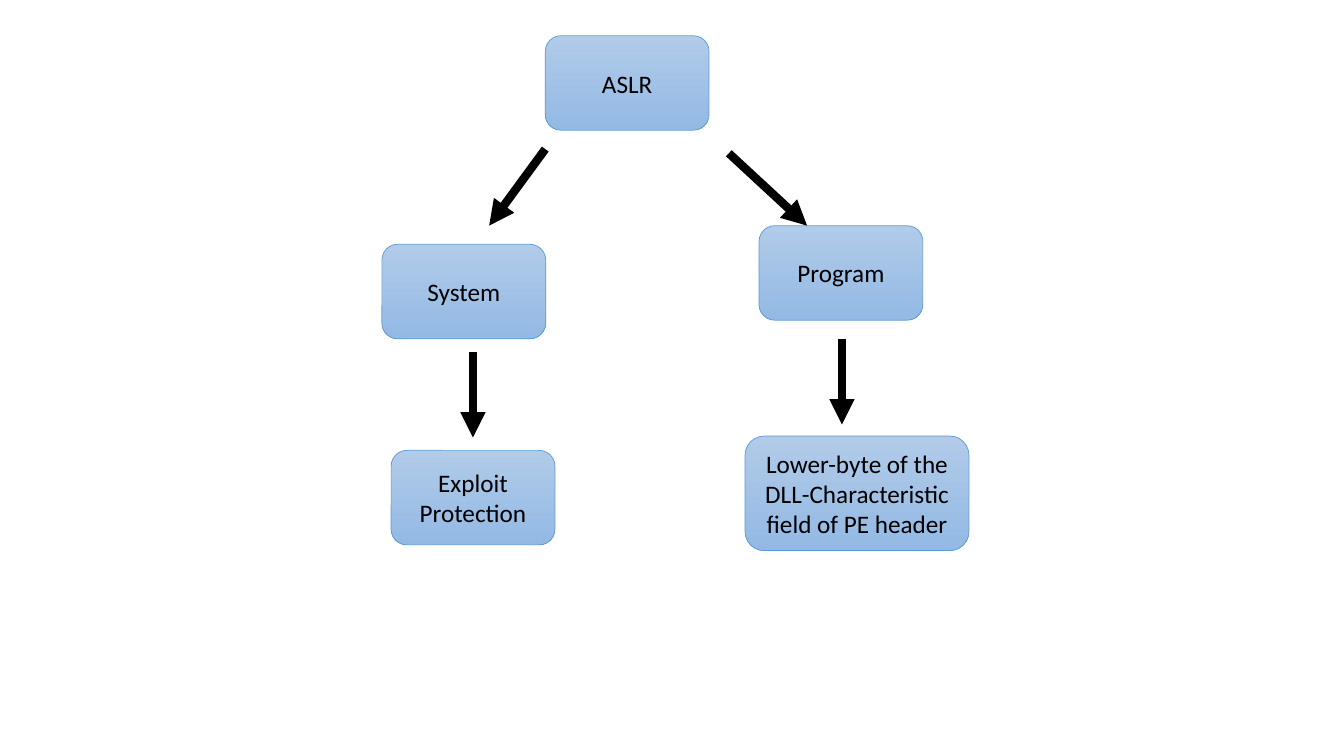
from dataclasses import dataclass

from lxml import etree
from pptx import Presentation
from pptx import util as u
from pptx.dml.color import RGBColor
from pptx.enum import shapes, text
from pptx.oxml.ns import qn


@dataclass(frozen=True)
class Theme:
    font: str = "Calibri"
    size: float = 18
    ink: RGBColor = RGBColor.from_string("000000")
    box_top: RGBColor = RGBColor.from_string("B1CBE9")
    box_bottom: RGBColor = RGBColor.from_string("93B9E4")
    box_line: RGBColor = RGBColor.from_string("5B9BD5")
    box_line_width: float = 0.5
    arrow_width: float = 6


theme = Theme()


def write_text(frame, words, font=theme.font, size=theme.size, color=theme.ink,
               align=text.PP_ALIGN.CENTER, anchor=text.MSO_ANCHOR.MIDDLE):
    """Fill a text frame, with one paragraph for each line of words."""
    frame.word_wrap = True
    frame.vertical_anchor = anchor
    frame.text = words
    for para in frame.paragraphs:
        para.alignment = align
        for span in para.runs:
            span.font.name = font
            span.font.size = u.Pt(size)
            span.font.color.rgb = color


deck = Presentation()
deck.slide_width, deck.slide_height = u.Pt(960), u.Pt(540)
page = deck.slides.add_slide(deck.slide_layouts[6])

# Boxes: words, left, top, width, height
node_size = (117, 67.5)
boxes = [
    ("ASLR", 389.5, 25.5, *node_size),
    ("System", 272.8, 174.5, *node_size),
    ("Program", 542.2, 161.2, *node_size),
    ("Exploit\nProtection", 279.4, 321.7, *node_size),
    ("Lower-byte of the DLL-Characteristic field of PE header", 532.2, 311.5, 160, 81.8),
]
for words, *place in boxes:
    box = page.shapes.add_shape(shapes.MSO_SHAPE.ROUNDED_RECTANGLE, *map(u.Pt, place))
    box.shadow.inherit = False
    box.fill.gradient()
    box.fill.gradient_angle = 270
    for stop, color in zip(box.fill.gradient_stops, (theme.box_top, theme.box_bottom)):
        stop.color.rgb = color
    box.line.color.rgb = theme.box_line
    box.line.width = u.Pt(theme.box_line_width)
    write_text(box.text_frame, words)

# Arrows: start x, start y, end x, end y
arrows = [
    (389.5, 106.5, 349.4, 161.2),
    (520.6, 109.5, 576.5, 161.2),
    (337.8, 251.3, 337.8, 312.5),
    (601.4, 242, 601.4, 303.2),
]
for ends in arrows:
    arrow = page.shapes.add_connector(shapes.MSO_CONNECTOR.STRAIGHT, *map(u.Pt, ends))
    arrow.line.color.rgb = theme.ink
    arrow.line.width = u.Pt(theme.arrow_width)
    etree.SubElement(arrow.line._get_or_add_ln(), qn("a:tailEnd"), type="triangle")
    etree.SubElement(arrow._element.spPr, qn("a:effectLst"))

deck.save("out.pptx")
